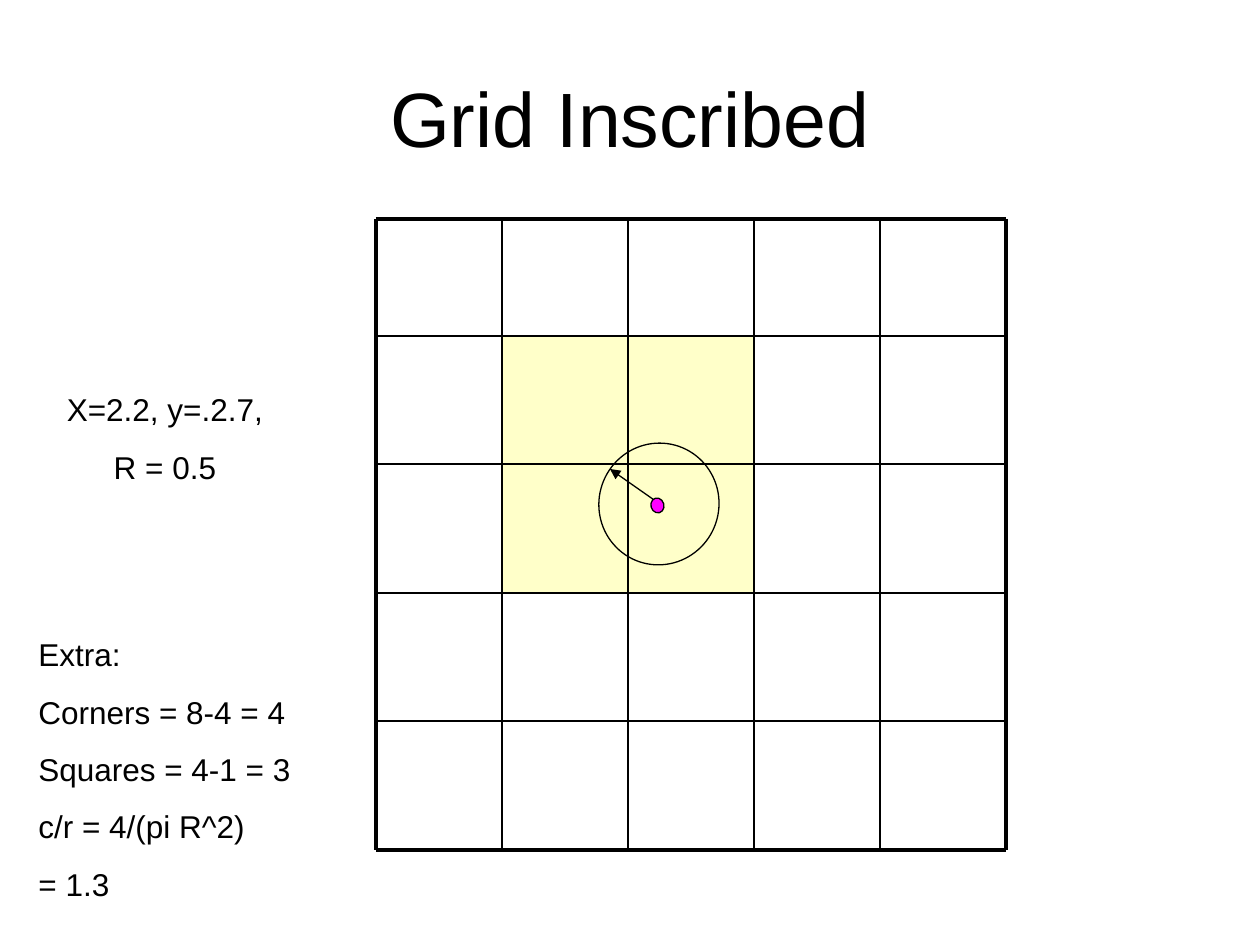
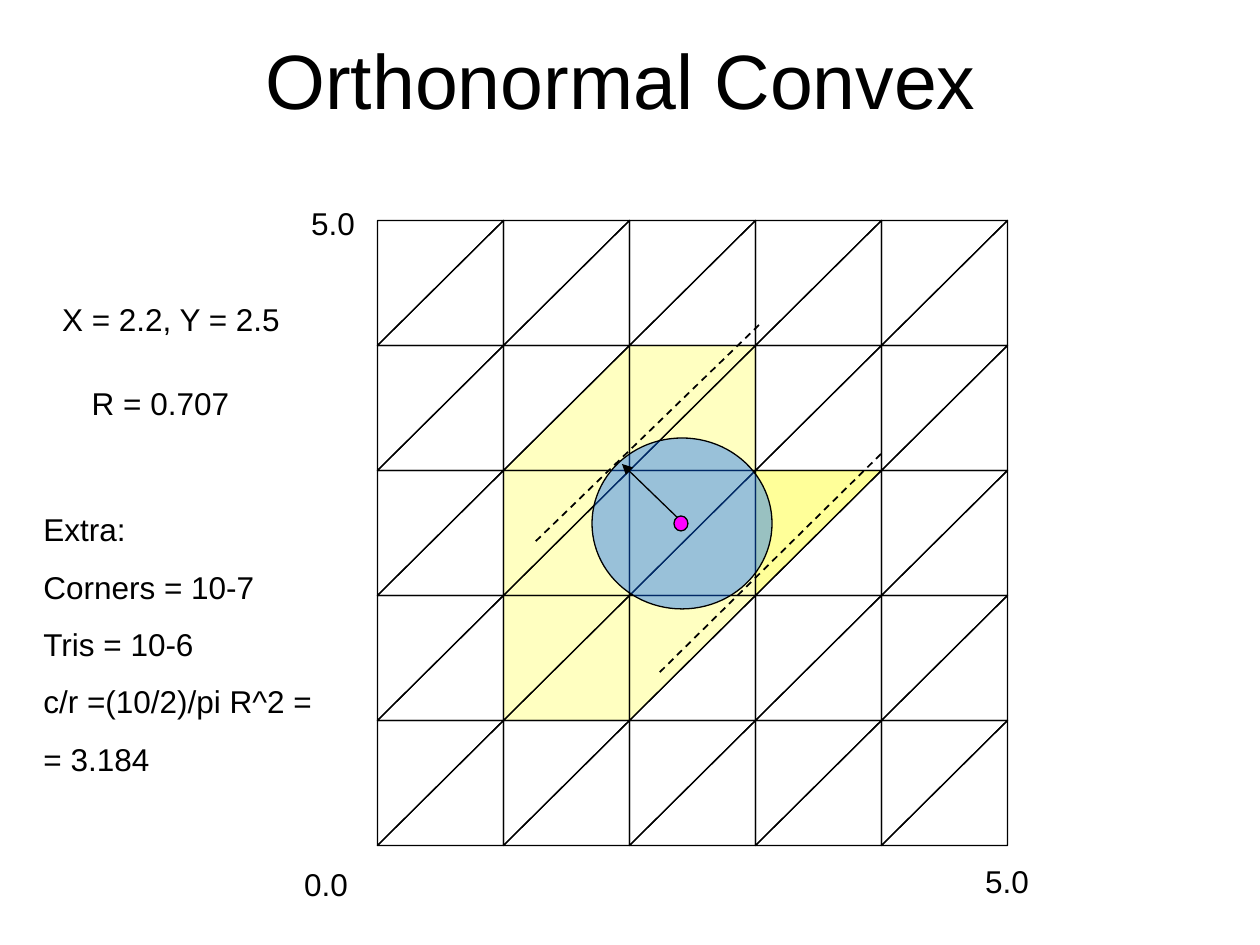
from itertools import product

from lxml.etree import SubElement
from pptx import Presentation
from pptx.dml.color import RGBColor
from pptx.enum.dml import MSO_LINE
from pptx.enum.shapes import MSO_CONNECTOR, MSO_SHAPE
from pptx.enum.text import MSO_ANCHOR, PP_ALIGN
from pptx.oxml.ns import qn
from pptx.util import Pt

PX = 7257
FONT = "Arial"
BLACK = "000000"
PALE_YELLOW = "FFFF66"
YELLOW = "FFFF00"
BLUE = "0066FF"
MAGENTA = "FF00FF"
color = RGBColor.from_string


def add_figure(slide, kind, box, fill=None, opacity=100, outline=True, rotation=0):
    figure = slide.shapes.add_shape(kind, *(length * PX for length in box))
    figure.shadow.inherit = False
    figure.rotation = rotation
    if fill:
        figure.fill.solid()
        figure.fill.fore_color.rgb = color(fill)
        if opacity < 100:
            srgb = figure._element.spPr.find(qn("a:solidFill")).find(qn("a:srgbClr"))
            SubElement(srgb, qn("a:alpha"), val=str(opacity * 1000))
    else:
        figure.fill.background()
    if outline:
        figure.line.color.rgb = color(BLACK)
        figure.line.width = Pt(0.75)
    else:
        figure.line.fill.background()


def add_line(slide, ends, width, dashed=False, arrow=False):
    line = slide.shapes.add_connector(MSO_CONNECTOR.STRAIGHT, *(end * PX for end in ends))
    line.line.color.rgb = color(BLACK)
    line.line.width = Pt(width)
    if dashed:
        line.line.dash_style = MSO_LINE.DASH
    if arrow:
        SubElement(line.line._get_or_add_ln(), qn("a:tailEnd"), type="triangle")
    SubElement(line._element.spPr, qn("a:effectLst"))


prs = Presentation()
prs.slide_width = 1260 * PX
prs.slide_height = 945 * PX

contents = [
    ("Grid Inscribed", (63, 38), [
        ((50, 384, 230, 108), PP_ALIGN.CENTER, "X=2.2, y=.2.7,\nR = 0.5"),
        ((26, 629, 335, 281), PP_ALIGN.LEFT,
         "Extra:\nCorners = 8-4 = 4\nSquares = 4-1 = 3\nc/r = 4/(pi R^2)\n= 1.3"),
    ]),
    ("Orthonormal Convex", (54, 0), [
        ((256, 859, 140, 50), PP_ALIGN.CENTER, "0.0"),
        ((263, 198, 140, 50), PP_ALIGN.CENTER, "5.0"),
        ((937, 856, 140, 50), PP_ALIGN.CENTER, "5.0"),
        ((42, 294, 258, 50), PP_ALIGN.CENTER, "X = 2.2, Y = 2.5"),
        ((53, 378, 215, 50), PP_ALIGN.CENTER, "R = 0.707"),
        ((31, 504, 335, 281), PP_ALIGN.LEFT,
         "Extra:\nCorners = 10-7\nTris = 10-6\nc/r =(10/2)/pi R^2 =\n= 3.184"),
    ]),
]

for heading, (left, top), remarks in contents:
    slide = prs.slides.add_slide(prs.slide_layouts[5])
    title = slide.shapes.title
    title.left, title.top = left * PX, top * PX
    title.width, title.height = 1134 * PX, 157 * PX
    title.text_frame.text = heading
    title.text_frame.vertical_anchor = MSO_ANCHOR.MIDDLE
    title.text_frame.paragraphs[0].alignment = PP_ALIGN.CENTER
    heading_font = title.text_frame.paragraphs[0].runs[0].font
    heading_font.name = FONT
    heading_font.size = Pt(44)
    heading_font.color.rgb = color(BLACK)

    for box, alignment, words in remarks:
        remark = slide.shapes.add_textbox(*(length * PX for length in box)).text_frame
        remark.word_wrap = True
        remark.text = words
        for paragraph in remark.paragraphs:
            paragraph.alignment = alignment
            paragraph.space_before = Pt(11.2)
            font = paragraph.runs[0].font
            font.name = FONT
            font.size = Pt(18)
            font.color.rgb = color(BLACK)

inscribed, convex = prs.slides

columns = [376 + 126 * column for column in range(6)]
rows = [219] + [336 + 257 * row // 2 for row in range(5)]
for column, row in product((1, 2), (1, 2)):
    cell = (columns[column], rows[row], 126, rows[row + 1] - rows[row])
    add_figure(inscribed, MSO_SHAPE.RECTANGLE, cell, PALE_YELLOW, 35, outline=False)
for y in rows:
    add_line(inscribed, (columns[0], y, columns[-1], y), 2.25 if y in (rows[0], rows[-1]) else 1)
for x in columns:
    add_line(inscribed, (x, rows[0], x, rows[-1]), 2.25 if x in (columns[0], columns[-1]) else 1)

add_figure(inscribed, MSO_SHAPE.OVAL, (598, 444, 122, 120), rotation=289)
add_line(inscribed, (657, 502, 610, 469), 0.75, arrow=True)
add_figure(inscribed, MSO_SHAPE.OVAL, (651, 498, 13, 15), MAGENTA, rotation=344)

UPPER, LOWER = 90, 270
covered = {(column, row, half): PALE_YELLOW
           for column, row, half in product((1, 2), (1, 2, 3), (UPPER, LOWER))}
del covered[1, 1, UPPER], covered[2, 3, LOWER]
covered[3, 2, UPPER] = YELLOW
for column, row, half in product(range(5), range(5), (LOWER, UPPER)):
    triangle = (378 + 126 * column, 220 + 125 * row, 125, 126)
    add_figure(convex, MSO_SHAPE.RIGHT_TRIANGLE, triangle,
               covered.get((column, row, half)), 40, rotation=half)

add_line(convex, (759, 325, 535, 542), 1, dashed=True)
add_figure(convex, MSO_SHAPE.OVAL, (592, 438, 180, 171), BLUE, 40)
add_line(convex, (682, 522, 622, 464), 0.75, arrow=True)
add_figure(convex, MSO_SHAPE.OVAL, (674, 516, 14, 15), MAGENTA)
add_line(convex, (881, 454, 659, 673), 1, dashed=True)

prs.save("out.pptx")
